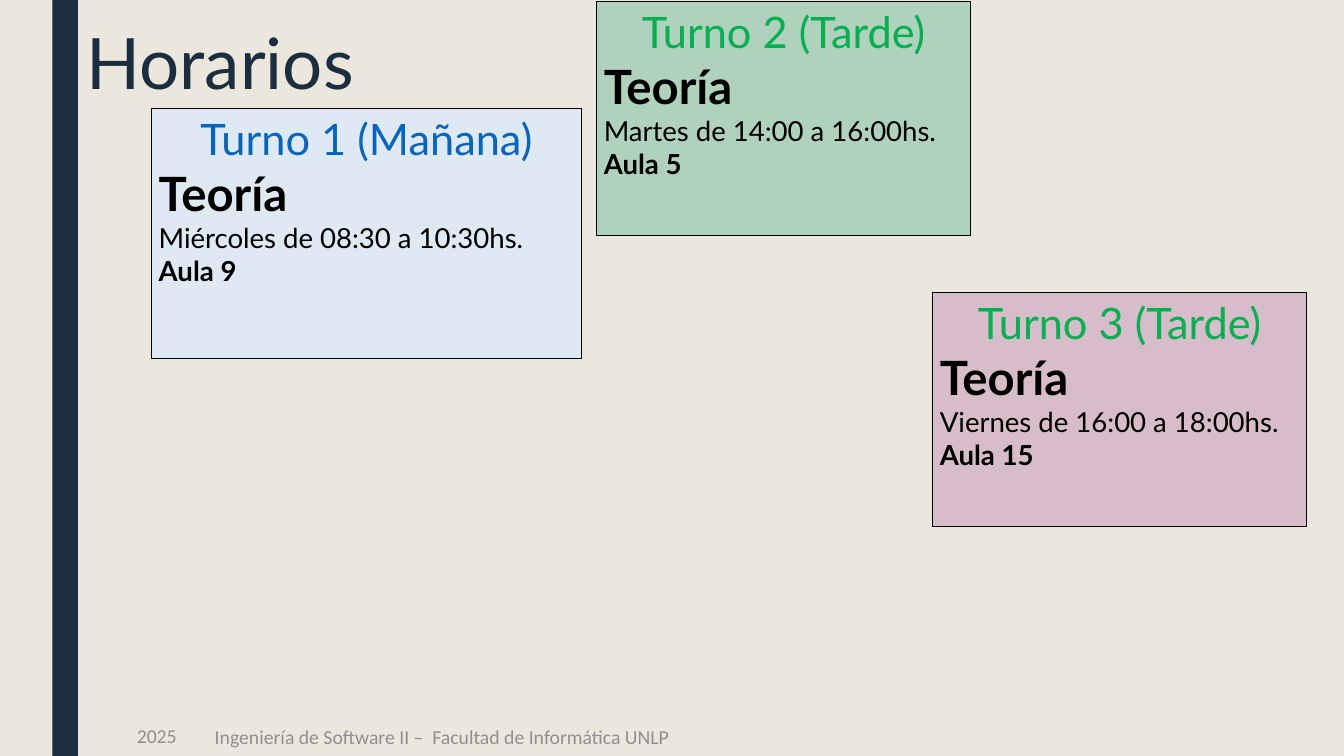
from typing import NamedTuple

from pptx import Presentation
from pptx.dml.color import RGBColor
from pptx.enum.shapes import MSO_SHAPE as Shape
from pptx.enum.text import MSO_ANCHOR as Anchor, PP_ALIGN as Align
from pptx.util import Inches, Pt

WIDTH, HEIGHT = 18.96, 10.67
COLORS = {
    "background": "EBE7DD",
    "navy": "1A2E40",
    "gray": "8F8F8F",
    "black": "000000",
    "blue": "0365C0",
    "green": "00B050",
    "pale_blue": "DEE9F4",
    "pale_green": "B0D2BC",
    "pale_pink": "D7BDC9",
}


class Box(NamedTuple):
    """Left, top, width and height as percentages of the slide."""
    left: float
    top: float
    width: float
    height: float

    def emu(self) -> list[int]:
        sides = (WIDTH, HEIGHT, WIDTH, HEIGHT)
        return [Inches(share * side / 100) for share, side in zip(self, sides)]


class Line(NamedTuple):
    text: str
    size: int
    color: str = "black"
    bold: bool = False
    align: Align = Align.LEFT
    font: str = "Lato"
    spacing: float = 1.0


class Label(NamedTuple):
    box: Box
    line: Line
    inset: tuple[float, float] = (0.14, 0.07)
    anchor: Anchor = Anchor.TOP


class Shift(NamedTuple):
    box: Box
    fill: str
    heading: str
    heading_color: str
    time: str
    room: str


BAR = Box(3.9, 0, 1.9, 100)
LABELS = [
    Label(Box(9.44, 95.13, 6.75, 3.75), Line("2025", 20, "gray", font="Calibri")),
    Label(Box(15.24, 95.22, 39.4, 3.56),
          Line("Ingeniería de Software II –  Facultad de Informática UNLP",
               20, "gray", font="Calibri")),
    Label(Box(5.91, 0, 82.81, 14.34), Line("Horarios", 72, "navy", spacing=0.89),
          (0.1, 0.05), Anchor.BOTTOM),
]
SHIFTS = [
    Shift(Box(11.29, 14.34, 31.96, 33.08), "pale_blue", "Turno 1 (Mañana)", "blue",
          "Miércoles de 08:30 a 10:30hs.", "Aula 9"),
    Shift(Box(44.41, 0.19, 27.8, 30.93), "pale_green", "Turno 2 (Tarde)", "green",
          "Martes de 14:00 a 16:00hs.", "Aula 5"),
    Shift(Box(69.41, 38.71, 27.8, 30.93), "pale_pink", "Turno 3 (Tarde)", "green",
          "Viernes de 16:00 a 18:00hs.", "Aula 15"),
]


def rgb(name: str) -> RGBColor:
    return RGBColor.from_string(COLORS[name])


def write_lines(tf, lines: list[Line], inset: tuple[float, float], anchor: Anchor) -> None:
    tf.word_wrap = True
    tf.vertical_anchor = anchor
    tf.margin_left = tf.margin_right = Inches(inset[0])
    tf.margin_top = tf.margin_bottom = Inches(inset[1])
    for i, line in enumerate(lines):
        p = tf.add_paragraph() if i else tf.paragraphs[0]
        p.text = line.text
        p.alignment = line.align
        p.line_spacing = line.spacing
        p.font.name = line.font
        p.font.size = Pt(line.size)
        p.font.bold = line.bold
        p.font.color.rgb = rgb(line.color)


def add_rectangle(s, box: Box, fill: str):
    sp = s.shapes.add_shape(Shape.RECTANGLE, *box.emu())
    sp.shadow.inherit = False
    sp.fill.solid()
    sp.fill.fore_color.rgb = rgb(fill)
    sp.line.fill.background()
    return sp


def add_label(s, label: Label) -> None:
    tf = s.shapes.add_textbox(*label.box.emu()).text_frame
    write_lines(tf, [label.line], label.inset, label.anchor)


def add_shift(s, shift: Shift) -> None:
    sp = add_rectangle(s, shift.box, shift.fill)
    sp.line.color.rgb = rgb("black")
    sp.line.width = Pt(0.75)
    lines = [
        Line(shift.heading, 44, shift.heading_color, align=Align.CENTER),
        Line("Teoría", 48, bold=True),
        Line(shift.time, 28),
        Line(shift.room, 28, bold=True),
    ]
    write_lines(sp.text_frame, lines, (0.1, 0.05), Anchor.TOP)


def main() -> None:
    prs = Presentation()
    prs.slide_width, prs.slide_height = Inches(WIDTH), Inches(HEIGHT)
    s = prs.slides.add_slide(prs.slide_layouts[6])
    s.background.fill.solid()
    s.background.fill.fore_color.rgb = rgb("background")
    add_rectangle(s, BAR, "navy")
    for label in LABELS:
        add_label(s, label)
    for shift in SHIFTS:
        add_shift(s, shift)
    prs.save("out.pptx")


if __name__ == "__main__":
    main()
